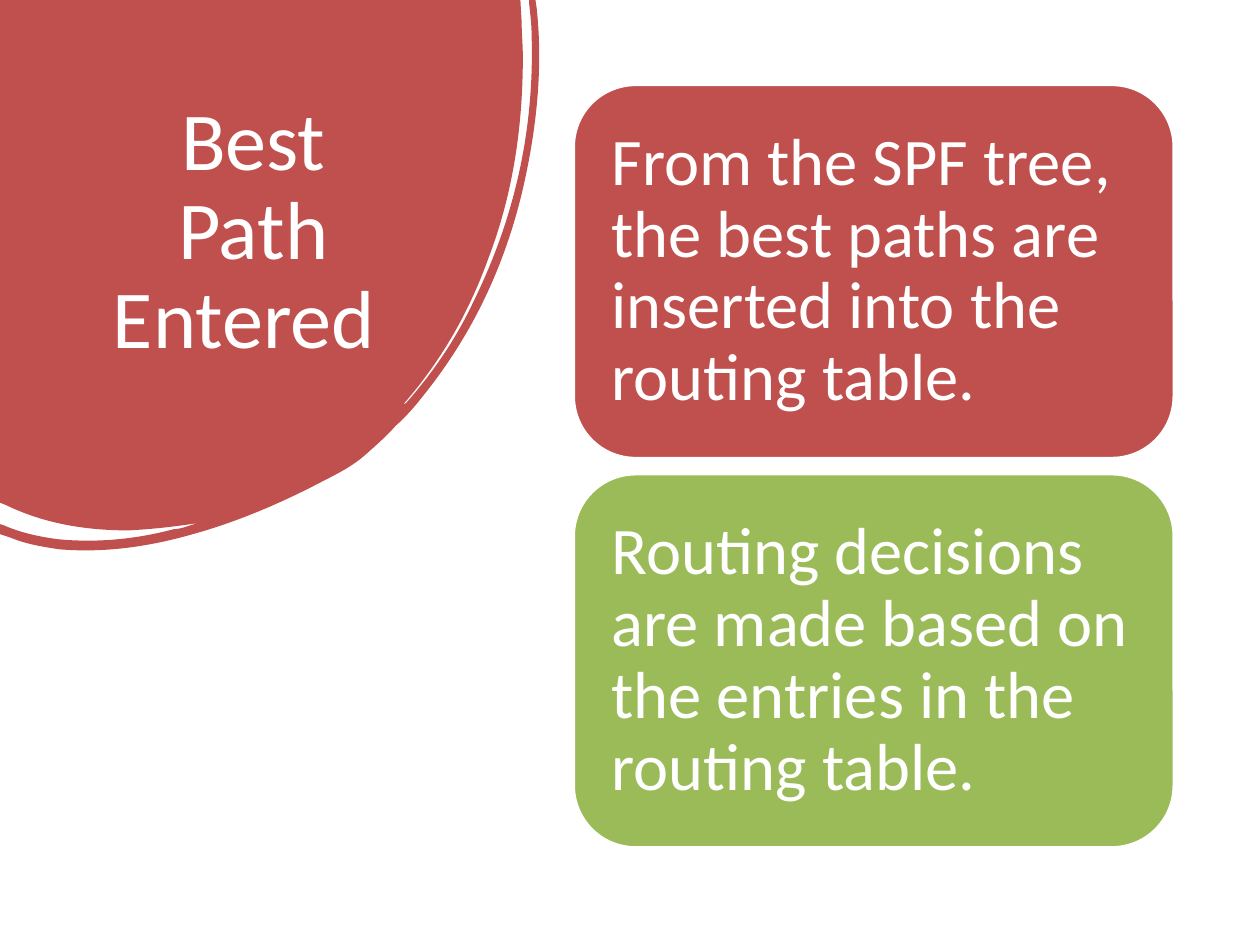
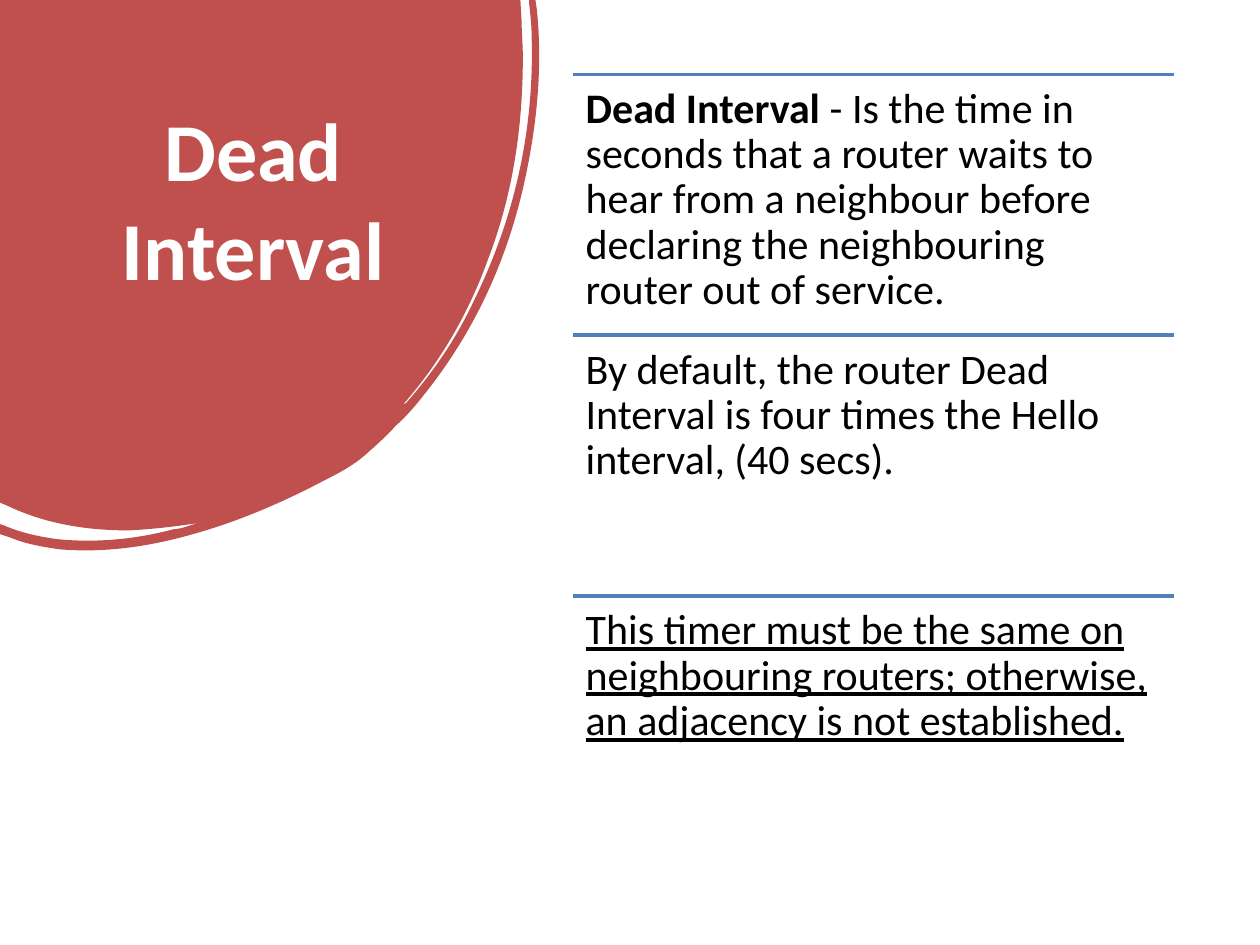
from lxml import etree
from pptx import Presentation
from pptx.dml.color import RGBColor
from pptx.enum.shapes import MSO_CONNECTOR, MSO_SHAPE
from pptx.enum.text import MSO_ANCHOR, MSO_AUTO_SIZE, PP_ALIGN
from pptx.oxml.ns import qn
from pptx.util import Inches, Pt

COLORS = {"red": "C0504D", "green": "9BBB59", "rule": "4F81BD",
          "white": "FFFFFF", "black": "000000"}
FONT = "Calibri"
TITLE_BOX = (0.69, 0.74, 2.64, 2.22)
CARDS_BOX = (4.55, 0.67, 4.77, 6.06)
ROWS_BOX = (4.55, 0.59, 4.77, 6.21)
CARD_GAP = 0.12

# Corner blob: two numbers are a line end, six are a Bezier curve
BLOB_SIZE = (4.28, 4.37)
BLOB_START = (0, 0)
BLOB_OUTLINE = [
    # inner disc and the white sliver on its right
    (4.13, 0), (4.14, 0.17),
    (4.14, 0.26, 4.15, 0.36, 4.15, 0.45), (4.15, 1.01, 4.07, 1.54, 3.88, 2.04),
    (3.72, 2.49, 3.49, 2.88, 3.2, 3.21), (3.22, 3.21, 3.23, 3.19, 3.24, 3.18),
    (3.44, 2.95, 3.62, 2.69, 3.76, 2.39), (4.07, 1.76, 4.24, 1.07, 4.22, 0.3),
    (4.22, 0.21, 4.21, 0.12, 4.2, 0.03), (4.2, 0),
    # outer rim
    (4.25, 0), (4.26, 0.07),
    (4.31, 0.54, 4.26, 1.02, 4.15, 1.5), (4, 2.14, 3.73, 2.68, 3.36, 3.14),
    (3.29, 3.23, 3.22, 3.31, 3.14, 3.38), (3.07, 3.46, 2.99, 3.53, 2.9, 3.61),
    (2.81, 3.69, 2.7, 3.75, 2.58, 3.81), (2.24, 3.99, 1.89, 4.14, 1.53, 4.24),
    (1.18, 4.34, 0.83, 4.39, 0.47, 4.36), (0.34, 4.34, 0.21, 4.32, 0.09, 4.27),
    (0, 4.24),
    # white sliver at the bottom
    (0, 4.16), (0.03, 4.17),
    (0.17, 4.23, 0.31, 4.26, 0.46, 4.28), (0.77, 4.31, 1.08, 4.28, 1.38, 4.2),
    (1.41, 4.2, 1.45, 4.19, 1.48, 4.18), (1.51, 4.17, 1.54, 4.16, 1.58, 4.15),
    (1.39, 4.18, 1.21, 4.2, 1.02, 4.21), (0.69, 4.21, 0.36, 4.16, 0.05, 4.01),
    (0, 3.99),
]

CARDS = [
    ("red", "From the SPF tree, the best paths are inserted into the routing table."),
    ("green", "Routing decisions are made based on the entries in the routing table."),
]
# Each row is a list of (text, bold, underlined) runs
ROWS = [
    [("Dead Interval ", True, False),
     ("- Is the time in seconds that a router waits to hear from a neighbour "
      "before declaring the neighbouring router out of service.", False, False)],
    [("By default, the router Dead Interval is four times the Hello interval, "
      "(40 secs).", False, False)],
    [("This timer must be the same on neighbouring routers; otherwise, an "
      "adjacency is not established.", False, True)],
]


def rgb(name):
    return RGBColor.from_string(COLORS[name])


def inches(*lengths):
    return [Inches(length) for length in lengths]


def style_paragraph(paragraph, size, color, spacing=0.9, align=PP_ALIGN.LEFT):
    paragraph.alignment = align
    paragraph.line_spacing = spacing
    font = paragraph.font
    font.name, font.size = FONT, Pt(size)
    font.color.rgb = rgb(color)


def style_frame(frame, anchor, inset_x, inset_y):
    frame.word_wrap = True
    frame.auto_size = MSO_AUTO_SIZE.NONE
    frame.vertical_anchor = anchor
    frame.margin_left = frame.margin_right = Inches(inset_x)
    frame.margin_top = frame.margin_bottom = Inches(inset_y)


def add_blob(slide):
    """Red corner blob: a freeform whose curved segments become Beziers."""
    builder = slide.shapes.build_freeform(*inches(*BLOB_START))
    builder.add_line_segments([inches(*segment[-2:]) for segment in BLOB_OUTLINE])
    blob = builder.convert_to_shape()
    blob.width, blob.height = inches(*BLOB_SIZE)
    outline = next(blob.element.iter(qn("a:path")))
    outline.set("w", str(blob.width))
    outline.set("h", str(blob.height))
    for line, segment in zip(outline.findall(qn("a:lnTo")), BLOB_OUTLINE):
        if len(segment) == 6:
            curve = etree.Element(qn("a:cubicBezTo"))
            for x, y in zip(segment[::2], segment[1::2]):
                etree.SubElement(curve, qn("a:pt"),
                                 x=str(Inches(x)), y=str(Inches(y)))
            outline.replace(line, curve)
    blob.shadow.inherit = False
    blob.fill.solid()
    blob.fill.fore_color.rgb = rgb("red")
    blob.line.fill.background()
    return blob


def add_titled_slide(deck, heading, bold=False, spacing=0.9):
    """Slide with the corner blob and the white title on it."""
    slide = deck.slides.add_slide(deck.slide_layouts[5])
    title = slide.shapes.title
    title.left, title.top, title.width, title.height = inches(*TITLE_BOX)
    title.text_frame.text = heading
    style_frame(title.text_frame, MSO_ANCHOR.TOP, 0.13, 0.05)
    paragraph = title.text_frame.paragraphs[0]
    style_paragraph(paragraph, 47, "white", spacing, PP_ALIGN.CENTER)
    paragraph.font.bold = bold
    title.element.addprevious(add_blob(slide).element)  # keep the title in front
    return slide


def add_cards(slide, box, cards):
    """Stack of equal rounded cards filling the box."""
    left, top, width, height = box
    card_height = (height - CARD_GAP * (len(cards) - 1)) / len(cards)
    for index, (color, statement) in enumerate(cards):
        card_top = top + index * (card_height + CARD_GAP)
        card = slide.shapes.add_shape(MSO_SHAPE.ROUNDED_RECTANGLE,
                                      *inches(left, card_top, width, card_height))
        card.shadow.inherit = False
        card.fill.solid()
        card.fill.fore_color.rgb = rgb(color)
        card.line.color.rgb = rgb("white")
        card.line.width = Pt(2)
        card.text_frame.text = statement
        style_frame(card.text_frame, MSO_ANCHOR.MIDDLE, 0.16, 0.16)
        style_paragraph(card.text_frame.paragraphs[0], 38, "white")


def add_ruled_rows(slide, box, rows):
    """Equal text rows, each under a thin rule."""
    left, top, width, height = box
    row_height = height / len(rows)
    for index, runs in enumerate(rows):
        row_top = top + index * row_height
        rule = slide.shapes.add_connector(
            MSO_CONNECTOR.STRAIGHT, *inches(left, row_top, left + width, row_top))
        rule.line.color.rgb = rgb("rule")
        rule.line.width = Pt(2)
        etree.SubElement(rule.element.spPr, qn("a:effectLst"))

        row = slide.shapes.add_textbox(*inches(left, row_top, width, row_height))
        style_frame(row.text_frame, MSO_ANCHOR.TOP, 0.1, 0.1)
        paragraph = row.text_frame.paragraphs[0]
        style_paragraph(paragraph, 24, "black")
        for text, bold, underlined in runs:
            run = paragraph.add_run()
            run.text = text
            run.font.bold, run.font.underline = bold, underlined


def main():
    deck = Presentation()
    deck.slide_width, deck.slide_height = inches(10, 7.5)

    best_path = add_titled_slide(deck, "Best Path Entered ")
    add_cards(best_path, CARDS_BOX, CARDS)

    dead_interval = add_titled_slide(deck, "Dead Interval", bold=True, spacing=1.0)
    add_ruled_rows(dead_interval, ROWS_BOX, ROWS)

    deck.save("out.pptx")


if __name__ == "__main__":
    main()
